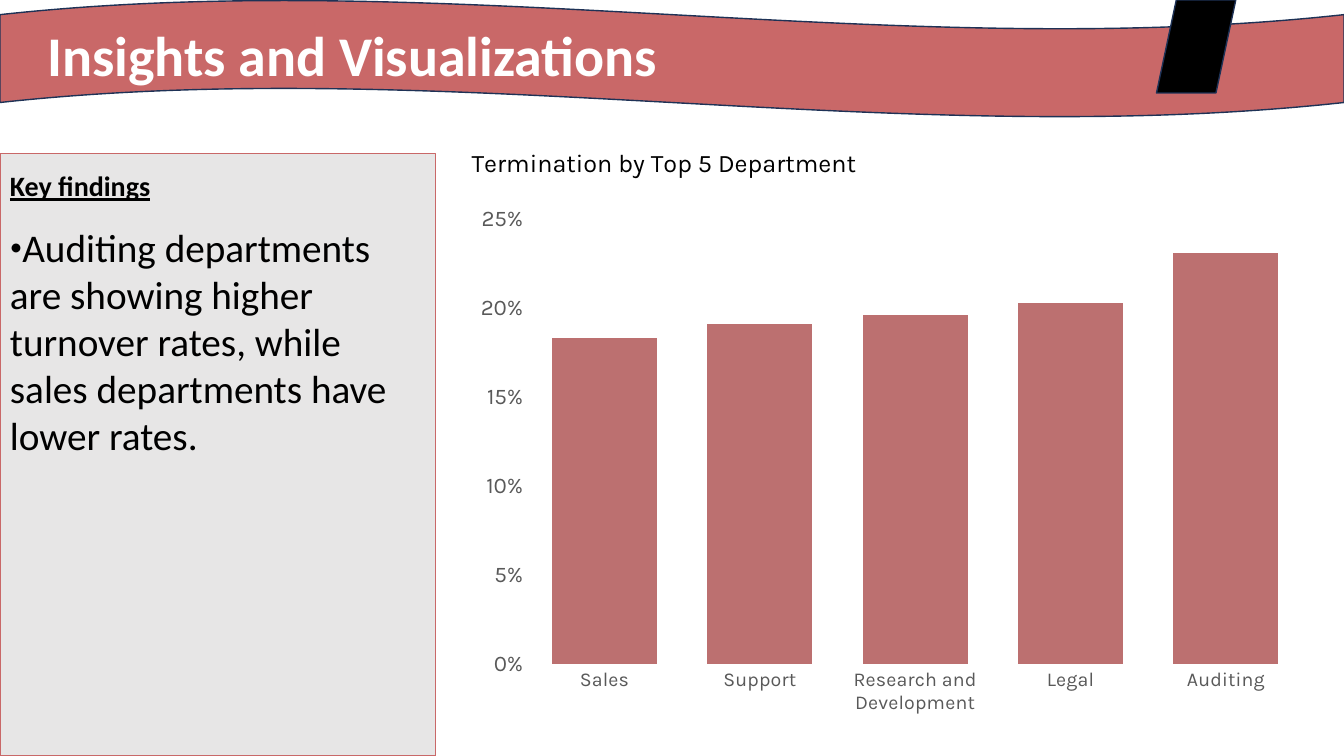
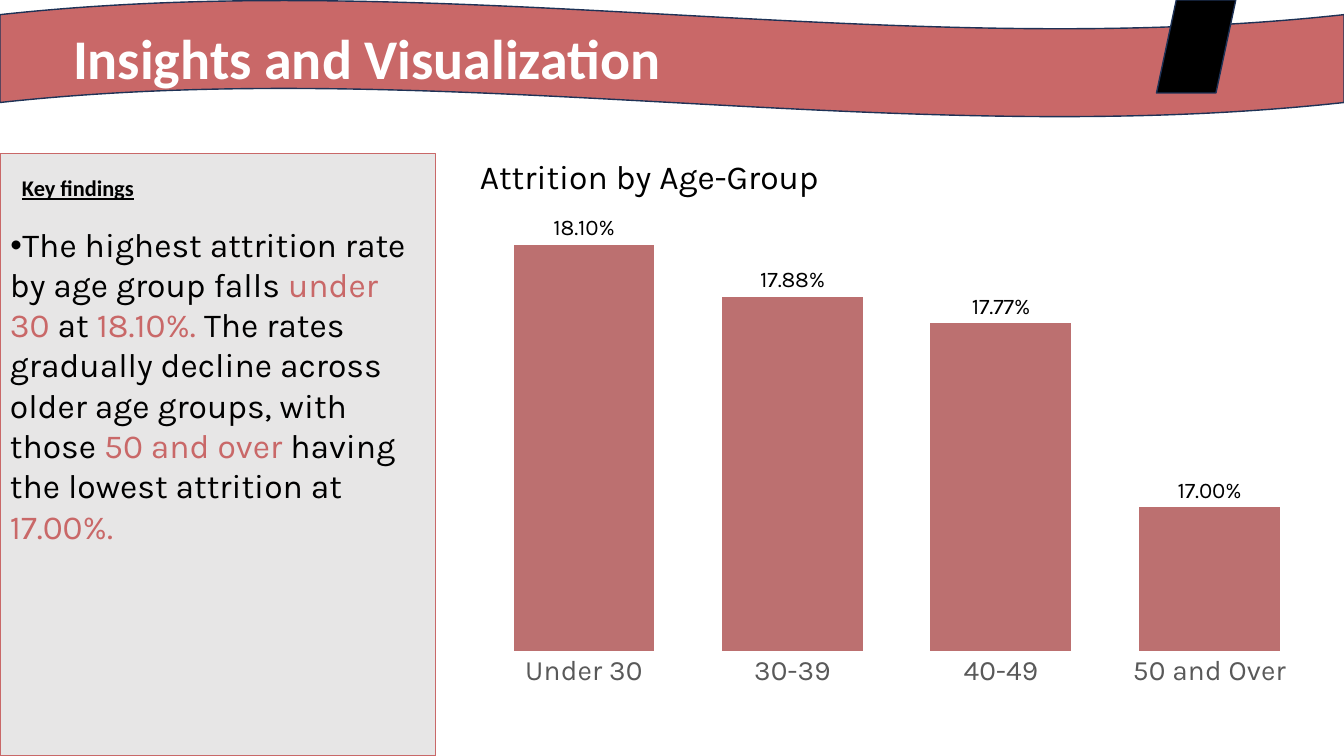
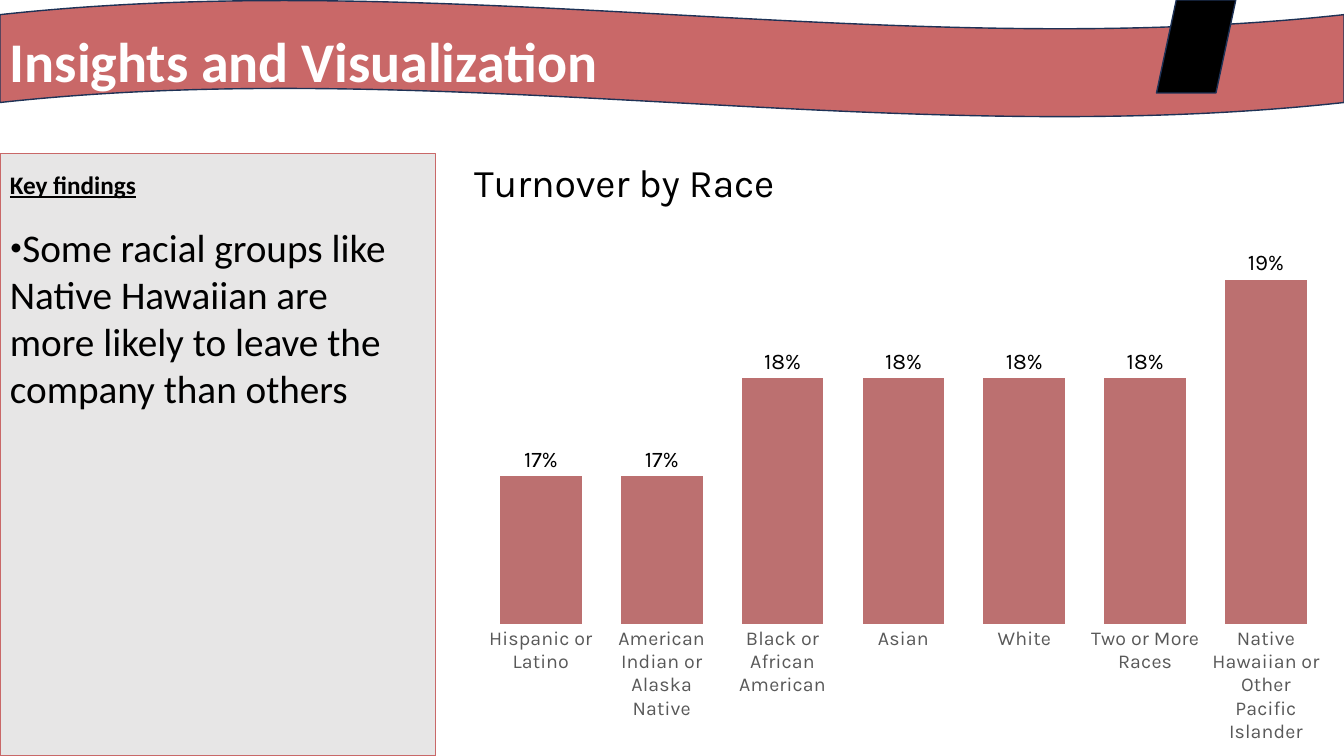
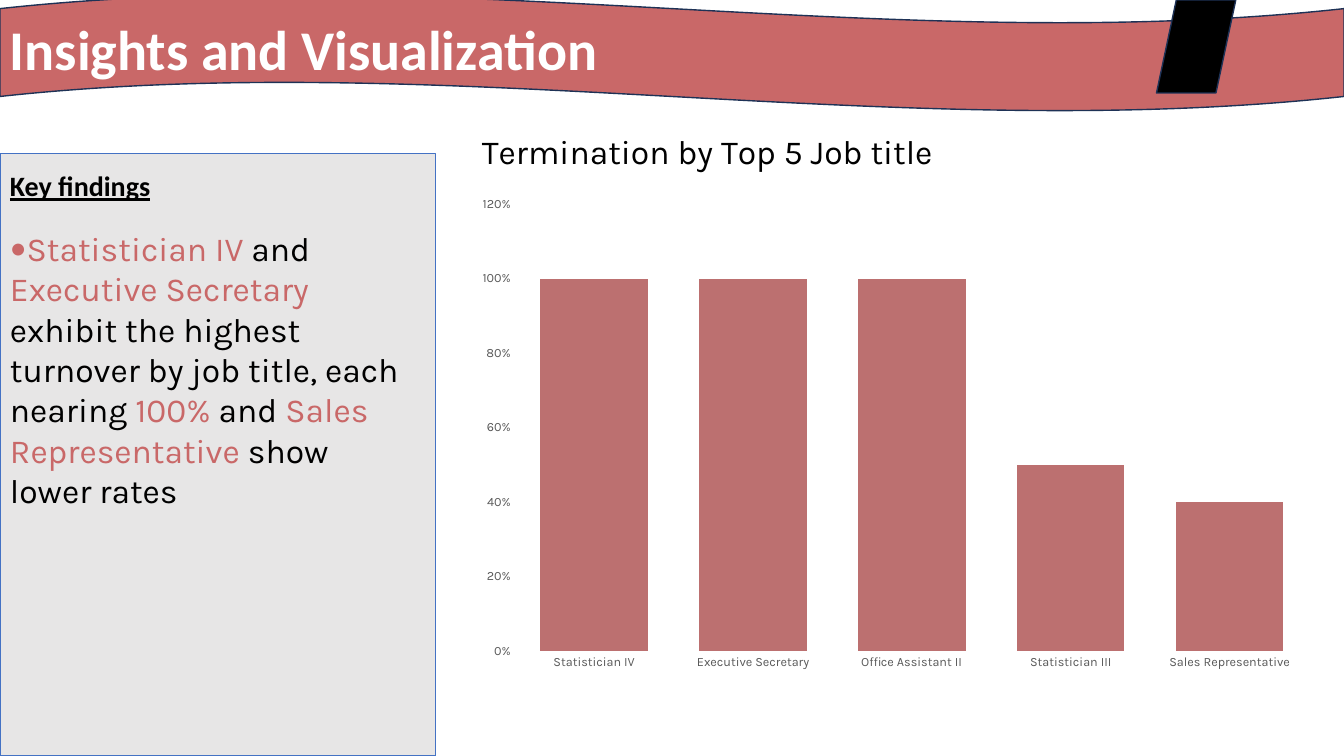
from lxml import etree
from pptx import Presentation
from pptx import util as u
from pptx.chart.data import CategoryChartData
from pptx.dml.color import RGBColor
from pptx.enum import chart as charts, shapes
from pptx.oxml.ns import qn

COLOURS = {
    "rose": "C96868", "bar": "BC7070", "navy": "1E3256", "blue": "4472C4",
    "panel": "E7E6E6", "grey": "595959", "black": "000000", "white": "FFFFFF",
}
HEADING, BODY = "Calibri", "Karla"


def colour(name):
    return RGBColor.from_string(COLOURS[name])


def set_font(font, size, name=BODY, ink="black", bold=False, underline=False):
    font.size, font.name = u.Pt(size), name
    font.bold, font.underline = bold, underline
    font.color.rgb = colour(ink)


def add_bullet(para, share):
    """Put a round bullet of a percentage of the text size flush before the text."""
    props = para._p.get_or_add_pPr()
    props.set("marL", "0")
    props.set("indent", "0")
    for tag, key, value in (("a:buSzPct", "val", str(share * 1000)),
                            ("a:buFont", "typeface", HEADING),
                            ("a:buChar", "char", "•")):
        etree.SubElement(props, qn(tag)).set(key, value)


def set_layout(parent, index, **values):
    """Fix the place of a chart part, in shares of the chart's size."""
    layout = parent.find(qn("c:layout"))
    if layout is None:
        layout = etree.Element(qn("c:layout"))
        parent.insert(index, layout)
    manual = etree.SubElement(layout, qn("c:manualLayout"))
    for tag, value in values.items():
        etree.SubElement(manual, qn(f"c:{tag}")).set("val", str(value))


class Report:
    """The shared style and the current page; places are percentages of the slide."""

    def __init__(self):
        self.deck = Presentation()
        self.deck.slide_width, self.deck.slide_height = u.Inches(13.33), u.Inches(7.5)
        self.page = None

    def place(self, left, top, width, height):
        across, down = self.deck.slide_width / 100, self.deck.slide_height / 100
        return [round(n) for n in (left * across, top * down, width * across, height * down)]

    def shape(self, kind, at, fill, line):
        shape = self.page.shapes.add_shape(kind, *self.place(*at))
        shape.shadow.inherit = False
        shape.fill.solid()
        shape.fill.fore_color.rgb = colour(fill)
        shape.line.color.rgb = colour(line)
        shape.line.width = u.Pt(1)

    def text(self, at, *spans, bullet=None, accent="rose", **style):
        """Write one paragraph; every second span takes the accent colour."""
        box = self.page.shapes.add_textbox(*self.place(*at))
        box.text_frame.word_wrap = True
        para = box.text_frame.paragraphs[0]
        if bullet:
            add_bullet(para, bullet)
        for index, words in enumerate(spans):
            if words:
                span = para.add_run()
                span.text = words
                set_font(span.font, **(style | {"ink": accent} if index % 2 else style))

    def start(self, title, title_at, wave_top=0, panel_line="rose"):
        self.page = self.deck.slides.add_slide(self.deck.slide_layouts[6])
        kinds = shapes.MSO_SHAPE
        self.shape(kinds.WAVE, (0, wave_top, 100, 15.5), "rose", "navy")
        self.text((*title_at, 75, 10.3), title, size=40, name=HEADING, ink="white", bold=True)
        self.shape(kinds.PARALLELOGRAM, (86.05, 0, 5.9, 12.3), "black", "navy")
        self.shape(kinds.RECTANGLE, (0, 20.3, 32.4, 79.7), "panel", panel_line)

    def findings(self, *spans, label_size=20, label_at=(0, 21.7), top=28.9, **style):
        self.text((*label_at, 13, 5.9), "Key findings", size=label_size, name=HEADING,
                  bold=True, underline=True)
        self.text((0, top, 31.4, 48), *spans, **style)

    def columns(self, at, title, title_at, title_size, plot, values, limits,
                cat_size, tick_size=None, label_format="0%"):
        """Draw a column chart; without a tick size it has labels and no value axis."""
        data = CategoryChartData()
        data.categories = list(values)
        data.add_series("Series 1", list(values.values()))
        chart = self.page.shapes.add_chart(
            charts.XL_CHART_TYPE.COLUMN_CLUSTERED, *self.place(*at), data).chart
        chart.has_legend = False
        set_font(chart.font, 10, HEADING)

        left, top, width, height = at
        chart.has_title = True
        para = chart.chart_title.text_frame.paragraphs[0]
        span = para.add_run()
        span.text = title
        set_font(span.font, title_size)
        set_layout(chart.chart_title._element, 1, xMode="edge", yMode="edge",
                   x=(title_at[0] - left) / width, y=(title_at[1] - top) / height)
        set_layout(chart._chartSpace.chart.plotArea, 0, layoutTarget="inner",
                   xMode="edge", yMode="edge",
                   x=(plot[0] - left) / width, y=(plot[1] - top) / height,
                   w=plot[2] / width, h=plot[3] / height)

        bars = chart.plots[0]
        bars.gap_width, bars.vary_by_categories = 48, False
        fill = bars.series[0].format.fill
        fill.solid()
        fill.fore_color.rgb = colour("bar")

        scale = chart.value_axis
        scale.minimum_scale, scale.maximum_scale, scale.major_unit = limits
        scale.has_major_gridlines = False
        for axis, size in ((chart.category_axis, cat_size), (scale, tick_size)):
            if size:
                axis.major_tick_mark = charts.XL_TICK_MARK.NONE
                axis.format.line.fill.background()
                set_font(axis.tick_labels.font, size, ink="grey")
        if tick_size:
            scale.tick_labels.number_format = "0%"
            scale.tick_labels.number_format_is_linked = False
        else:
            scale.visible = False
            bars.has_data_labels = True
            labels = bars.data_labels
            labels.show_value = True
            labels.position = charts.XL_LABEL_POSITION.OUTSIDE_END
            labels.number_format, labels.number_format_is_linked = label_format, False
            set_font(labels.font, 16)


def main():
    report = Report()

    report.start("Insights and Visualizations", (2.8, 2))
    report.findings("Auditing departments are showing higher turnover rates, while sales "
                    "departments have lower rates.", size=28, name=HEADING, bullet=64)
    report.columns((34.05, 15.7, 64.1, 82.1), "Termination by Top 5 Department",
                   (34.75, 18.7), 18, (39.2, 28.95, 57.8, 58.95),
                   {"Sales": 0.183, "Support": 0.191, "Research and Development": 0.196,
                    "Legal": 0.203, "Auditing": 0.231},
                   (0, 0.25, 0.05), cat_size=14, tick_size=16)

    report.start("Insights and Visualization", (4.7, 2.4))
    report.findings("The highest attrition rate by age group falls ", "under 30 ", "at ",
                    "18.10%. ", "The rates gradually decline across older age groups, "
                    "with those ", "50 and over ", "having the lowest attrition at ",
                    "17.00%.", size=24, bullet=75, label_size=16, label_at=(0.9, 22.4))
    report.columns((34.5, 19.1, 64.6, 73.5), "Attrition by Age-Group",
                   (35.25, 19.7), 24, (35.7, 29.2, 62.05, 56.9),
                   {"Under 30": 0.181, "30-39": 0.1788, "40-49": 0.1777,
                    "50 and Over": 0.17},
                   (0.164, 0.182, 0.002), cat_size=20, label_format="0.00%")

    report.start("Insights and Visualization", (0, 2.8))
    report.findings("Some racial groups like Native Hawaiian are more likely to leave the "
                    "company than others", size=28, name=HEADING, bullet=64, label_size=18)
    report.columns((34.5, 18.3, 65.5, 81.7), "Turnover by Race",
                   (34.75, 19.8), 28, (35.75, 30.55, 62.95, 52),
                   {"Hispanic or Latino": 0.17, "American Indian or Alaska Native": 0.17,
                    "Black or African American": 0.18, "Asian": 0.18, "White": 0.18,
                    "Two or More Races": 0.18,
                    "Native Hawaiian or Other Pacific Islander": 0.19},
                   (0.155, 0.195, 0.005), cat_size=14)

    report.start("Insights and Visualization", (0, 1.3), wave_top=-0.8, panel_line="blue")
    report.findings("", "Statistician IV ", "and ", "Executive Secretary",
                    " exhibit the highest turnover by job title, each nearing ", "100% ",
                    "and ", "Sales Representative ", "show lower rates",
                    size=24, bullet=100, top=29.5)
    report.columns((34.65, 15.7, 64.05, 74.3), "Termination by Top 5 Job title",
                   (35.4, 16.4), 24, (38.3, 27, 59.1, 59.15),
                   {"Statistician IV": 1, "Executive Secretary": 1,
                    "Office Assistant II": 1, "Statistician III": 0.5,
                    "Sales Representative": 0.4},
                   (0, 1.2, 0.2), cat_size=9, tick_size=9)

    report.deck.save("out.pptx")


if __name__ == "__main__":
    main()
